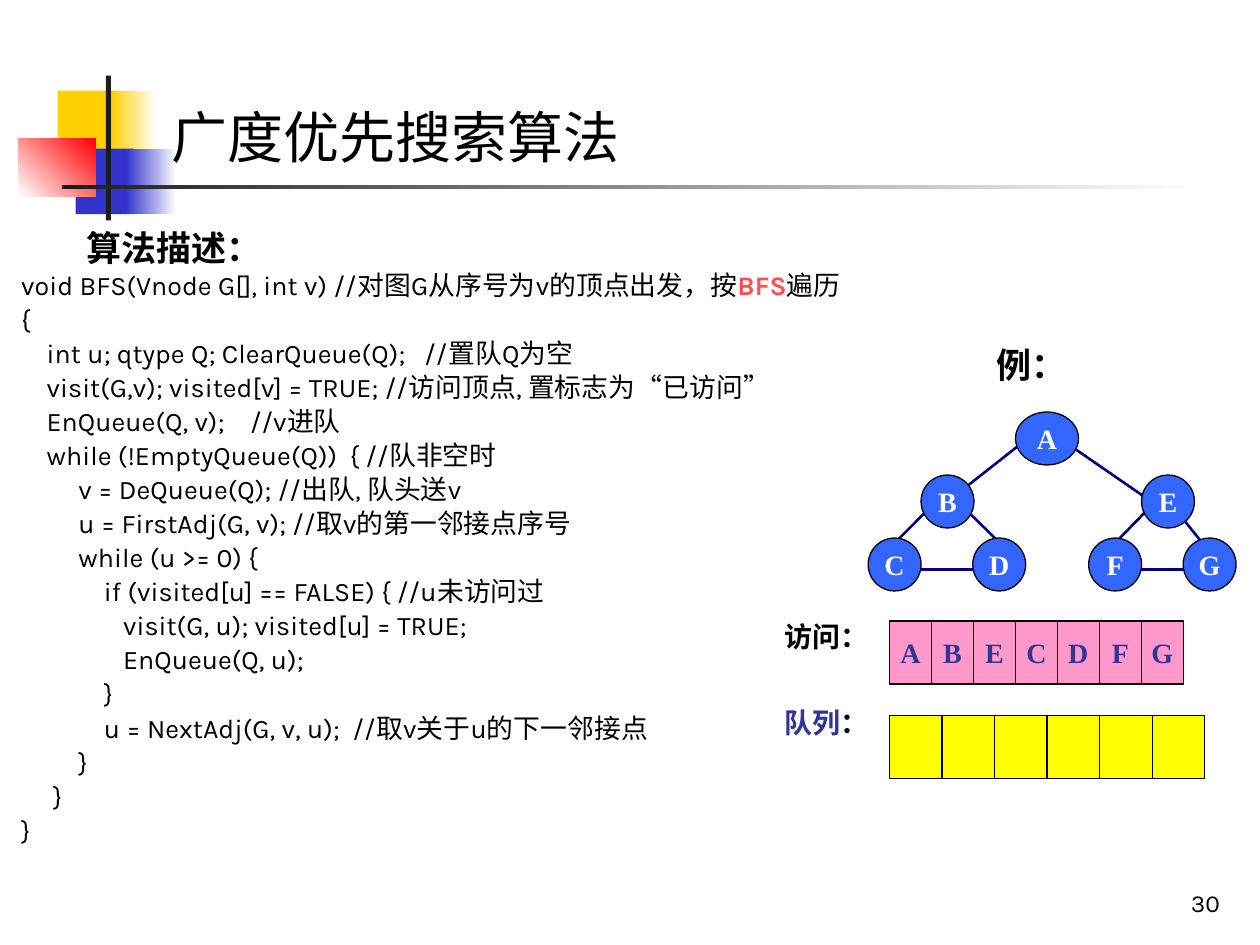
from pptx import Presentation
from pptx.dml.color import RGBColor as Rgb
from pptx.enum.shapes import MSO_CONNECTOR as Link, MSO_SHAPE as Form
from pptx.enum.text import MSO_ANCHOR as Anchor, MSO_AUTO_SIZE as Fit, PP_ALIGN as Align
from pptx.oxml.ns import qn
from pptx.util import Inches, Pt
from lxml.etree import SubElement

BLACK = Rgb(0, 0, 0)
WHITE = Rgb(255, 255, 255)
GOLD = Rgb(0xFF, 0xCF, 0x01)
BLUE = Rgb(0x33, 0x33, 0xCC)
RED = Rgb(0xFF, 0, 0)
DARK = Rgb(0x1C, 0x1C, 0x1C)
CORAL = Rgb(0xFF, 0x50, 0x50)
INDIGO = Rgb(0x33, 0x33, 0x99)
PINK = Rgb(0xFF, 0x99, 0xCC)
YELLOW = Rgb(0xFF, 0xFF, 0)
NAVY = Rgb(0, 0, 0x80)
SKY = Rgb(0x33, 0x66, 0xFF)

KARLA, SERIF, HAN = "Karla", "Times New Roman", "Noto Sans CJK SC"

CODE = [
    [("void BFS(Vnode G[], int v) //对图G从序号为v的顶点出发，按",), ("BFS", CORAL, True), ("遍历",)],
    "{",
    "    int u; qtype Q; ClearQueue(Q);   //置队Q为空",
    [("    visit(G,v); visited[v] = TRUE; //访问顶点, 置标志为",),
     ("“", BLACK, False, "Arial"), ("已访问",), ("”", BLACK, False, "Arial")],
    "    EnQueue(Q, v);    //v进队",
    "    while (!EmptyQueue(Q))  { //队非空时",
    "         v = DeQueue(Q); //出队, 队头送v",
    "         u = FirstAdj(G, v); //取v的第一邻接点序号",
    "         while (u >= 0) {",
    "             if (visited[u] == FALSE) { //u未访问过",
    "                visit(G, u); visited[u] = TRUE;",
    "                EnQueue(Q, u);",
    "             }",
    "             u = NextAdj(G, v, u);  //取v关于u的下一邻接点",
    "         }",
    "     }",
    "}",
]

EDGES = [
    (76.4, 40.2, 80.6, 44.3), (96.4, 44.3, 93.1, 40.2),
    (82.2, 34.3, 74.7, 40.2), (84.7, 35.2, 93.1, 41),
    (73.9, 40.2, 70.6, 43.5), (70.6, 45.2, 78.9, 45.2),
    (92.2, 39.3, 88.1, 43.5), (88.1, 45.2, 95.6, 45.2),
]

NODES = [
    ("A", 80.6, 32.7, 5), ("B", 73.1, 37.7, 4.2), ("E", 90.6, 37.7, 4.2),
    ("C", 68.9, 42.7, 4.2), ("D", 77.2, 42.7, 4.2),
    ("F", 86.4, 42.7, 4.2), ("G", 93.9, 42.7, 4.2),
]


class Page:
    COLS, ROWS = 100, 75

    def __init__(self):
        self.deck = Presentation()
        self.deck.slide_width, self.deck.slide_height = Inches(10), Inches(7.5)
        self.slide = self.deck.slides.add_slide(self.deck.slide_layouts[5])
        self.shapes = self.slide.shapes

    def grid(self, *spots):
        units = (self.deck.slide_width / self.COLS, self.deck.slide_height / self.ROWS)
        return [round(spot * units[i % 2]) for i, spot in enumerate(spots)]

    def run(self, para, text, size, color=BLACK, bold=False, face=KARLA, han=HAN):
        run = para.add_run()
        run.text = text
        font = run.font
        font.size, font.bold, font.name = Pt(size), bold, face
        font.color.rgb = color
        SubElement(run._r.rPr, qn("a:ea")).set("typeface", han)

    def text(self, at, *runs, size, align=Align.LEFT, anchor=Anchor.TOP, lead=None):
        frame = self.shapes.add_textbox(*self.grid(*at)).text_frame
        frame.word_wrap, frame.vertical_anchor = True, anchor
        para = frame.paragraphs[0]
        para.alignment, para.line_spacing = align, lead
        for item in runs:
            self.run(para, item[0], size, *item[1:])
        return frame

    def more(self, frame, runs, size, gap, lead=None):
        para = frame.add_paragraph()
        para.space_before, para.line_spacing = Pt(gap), lead
        for item in runs:
            self.run(para, item[0], size, *item[1:])

    def title(self, at, text):
        shape = self.shapes.title
        shape.left, shape.top, shape.width, shape.height = self.grid(*at)
        frame = shape.text_frame
        frame.auto_size, frame.vertical_anchor = Fit.NONE, Anchor.TOP
        frame.paragraphs[0].alignment = Align.LEFT
        face = "Noto Sans CJK JP"
        self.run(frame.paragraphs[0], text, 32, BLACK, False, face, face)
        self.shapes._spTree.append(shape._element)

    def block(self, at, fill, fade=None, angle=0):
        shape = self.shapes.add_shape(Form.RECTANGLE, *self.grid(*at))
        shape.shadow.inherit = False
        shape.line.fill.background()
        if fade is None:
            shape.fill.solid()
            shape.fill.fore_color.rgb = fill
            return
        shape.fill.gradient()
        shape.fill.gradient_angle = angle
        for stop, color in zip(shape.fill.gradient_stops, (fill, fade)):
            stop.color.rgb = color

    def cell(self, at, fill, text="", ink=WHITE, form=Form.RECTANGLE):
        shape = self.shapes.add_shape(form, *self.grid(*at))
        shape.shadow.inherit = False
        shape.fill.solid()
        shape.fill.fore_color.rgb = fill
        shape.line.color.rgb, shape.line.width = BLACK, Pt(0.75)
        if text:
            frame = shape.text_frame
            frame.word_wrap, frame.vertical_anchor = False, Anchor.MIDDLE
            frame.paragraphs[0].alignment = Align.CENTER
            self.run(frame.paragraphs[0], text, 16, ink, True, SERIF)

    def strip(self, left, top, width, fill, marks):
        for i, mark in enumerate(marks):
            self.cell((left + i * width, top, width, 5), fill, mark, INDIGO)

    def edge(self, ends):
        line = self.shapes.add_connector(Link.STRAIGHT, *self.grid(*ends))
        line.line.color.rgb, line.line.width = NAVY, Pt(1.5)
        SubElement(line._element.spPr, qn("a:effectLst"))


def main():
    page = Page()
    page.block((4.6, 7.2, 4.8, 5.2), GOLD)
    page.block((8.8, 7.2, 3.6, 5.2), GOLD, WHITE)
    page.block((6, 11.8, 4.6, 5.2), BLUE)
    page.block((10, 11.8, 4, 5.2), BLUE, WHITE)
    page.block((1.5, 11, 6.1, 4.6), WHITE, RED, 45)
    page.block((8.4, 6, 0.4, 11.5), DARK)
    page.block((4.9, 14.7, 90, 0.3), DARK, WHITE)
    page.title((12.6, 7.6, 87.4, 6.4), "广度优先搜索算法")
    page.text((77, 68.3, 20.8, 5), ("30",), size=14, align=Align.RIGHT, anchor=Anchor.BOTTOM)

    rows = [[(row,)] if isinstance(row, str) else row for row in CODE]
    code = page.text((0.7, 20.8, 80.6, 50.7), *rows[0], size=15.3)
    for row in rows[1:]:
        page.more(code, row, 15.3, 1.1)
    page.text((5.9, 16.8, 78.9, 5.9), ("算法描述：", BLACK, True, HAN), size=20, lead=1.2)

    names = page.text((61.3, 48.7, 12.1, 10.5), ("访问：", BLACK, True, SERIF), size=16)
    queue = [("队列", INDIGO, True, SERIF), ("：", BLACK, True, SERIF)]
    page.more(names, queue, 16, 34, 0.75)
    page.strip(70.6, 49.3, 3.33, PINK, "ABECDFG")
    page.strip(70.6, 56.8, 4.17, YELLOW, [""] * 6)

    for ends in EDGES:
        page.edge(ends)
    for name, left, top, width in NODES:
        page.cell((left, top, width, 4.2), SKY, name, WHITE, Form.OVAL)
    page.text((78.1, 26.8, 9.2, 4.4), ("例：", BLACK, True, SERIF), size=20)
    page.deck.save("out.pptx")


if __name__ == "__main__":
    main()
